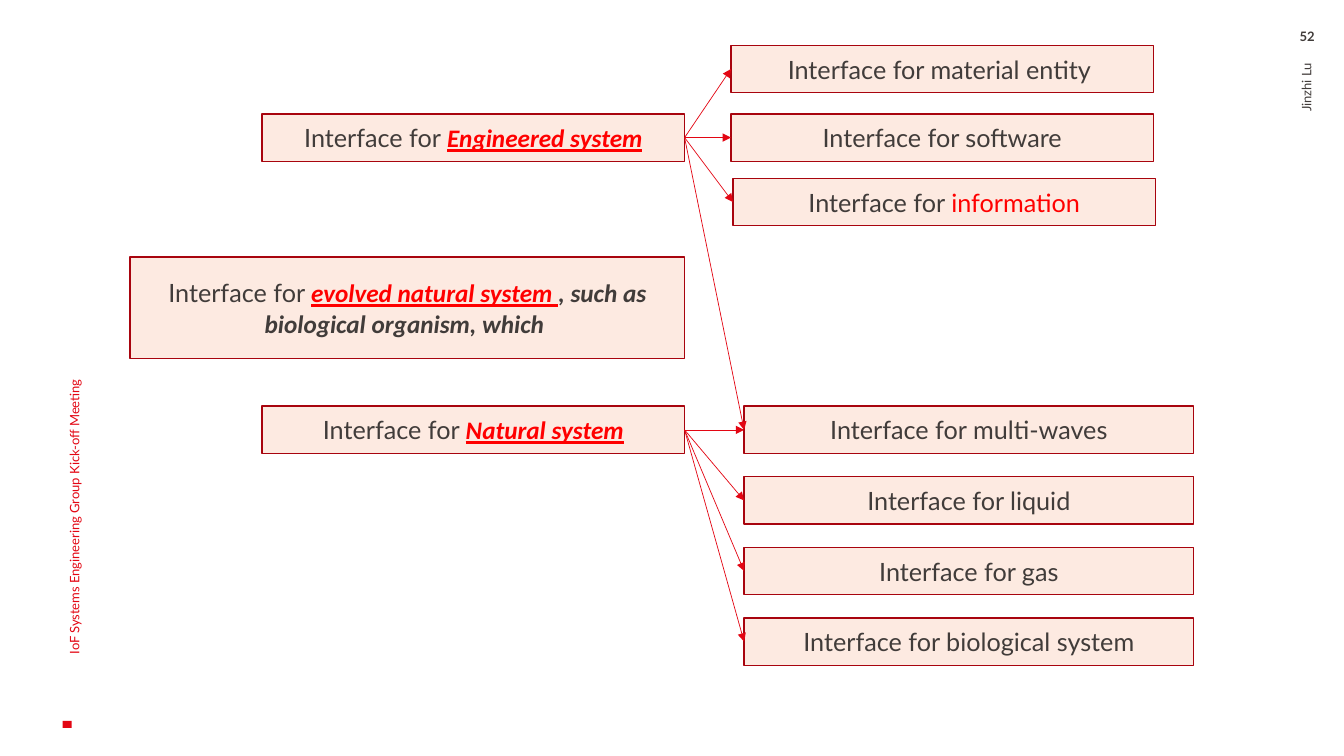
from dataclasses import dataclass

from lxml.etree import SubElement
from pptx import Presentation
from pptx.dml.color import RGBColor
from pptx.enum.shapes import MSO_CONNECTOR, MSO_SHAPE
from pptx.enum.text import MSO_ANCHOR, PP_ALIGN
from pptx.oxml.ns import qn
from pptx.util import Inches, Pt


@dataclass(frozen=True)
class Theme:
    red: RGBColor = RGBColor.from_string("E30613")
    border: RGBColor = RGBColor.from_string("A8040E")
    fill: RGBColor = RGBColor.from_string("FDEAE1")
    ink: RGBColor = RGBColor.from_string("413C3A")
    accent: RGBColor = RGBColor.from_string("FF0000")
    font: str = "Lato"
    accent_font: str = "Calibri"
    body: Pt = Pt(18)
    small: Pt = Pt(9.3)


theme = Theme()
PLAIN = (theme.font, theme.ink, False, False)
RED = (theme.font, theme.accent, False, False)
KEY = (theme.accent_font, theme.accent, True, True)
REST = (theme.accent_font, theme.ink, True, False)


def add_run(p, text, size, font, color, emphasis=False, underline=False):
    r = p.add_run()
    r.text = text
    r.font.size, r.font.name = size, font
    r.font.color.rgb = color
    r.font.bold = r.font.italic = emphasis
    r.font.underline = underline
    return r


prs = Presentation()
prs.slide_width, prs.slide_height = Inches(13.33), Inches(7.5)
slide = prs.slides.add_slide(prs.slide_layouts[6])

# Page margins
marker = slide.shapes.add_shape(
    MSO_SHAPE.RECTANGLE, Inches(0.63), Inches(7.14), Inches(0.07), Inches(0.09))
marker.rotation = 270
marker.shadow.inherit = False
marker.fill.solid()
marker.fill.fore_color.rgb = theme.red
marker.line.fill.background()

margin_texts = [
    ("IoF Systems Engineering Group Kick-off Meeting",
     (-1.82, 3.37, 5.11, 1.33), 270, PP_ALIGN.LEFT, theme.red),
    ("Jinzhi Lu", (11.1, 2.01, 3.71, 0.75), 270, PP_ALIGN.RIGHT, theme.ink),
    ("52", (12.59, 0.28, 0.75, 0.24), 0, PP_ALIGN.CENTER, theme.ink),
]
for text, place, rotation, align, color in margin_texts:
    s = slide.shapes.add_textbox(*map(Inches, place))
    s.rotation = rotation
    tf = s.text_frame
    tf.word_wrap = True
    if rotation:
        tf.vertical_anchor = MSO_ANCHOR.MIDDLE
    else:
        tf.margin_top = tf.margin_bottom = 0
    p = tf.paragraphs[0]
    p.alignment = align
    r = add_run(p, text, theme.small, theme.font, color)
    r.font.bold = not rotation

# Interface boxes: name, left, top, width, height, words after "Interface for "
LOW_TOP, LOW_STEP, BOX_H = 4.03, 0.7, 0.47
boxes = [
    ("engineered", 2.6, 1.13, 4.19, BOX_H, [("Engineered system", KEY)]),
    ("evolved", 1.29, 2.55, 5.5, 1.01,
     [("evolved natural system ", KEY),
      (", such as biological organism, which ", REST)]),
    ("natural", 2.6, LOW_TOP, 4.19, BOX_H, [("Natural system", KEY)]),
    ("material", 7.25, 0.45, 4.19, BOX_H, [("material entity ", PLAIN)]),
    ("software", 7.25, 1.13, 4.19, BOX_H, [("software", PLAIN)]),
    ("information", 7.27, 1.77, 4.19, BOX_H, [("information", RED)]),
]
natural_kinds = ["multi-waves", "liquid", "gas", "biological system"]
for i, kind in enumerate(natural_kinds):
    boxes.append((kind, 7.38, LOW_TOP + i * LOW_STEP, 4.46, BOX_H, [(kind, PLAIN)]))

box_shapes = {}
for name, left, top, width, height, words in boxes:
    s = slide.shapes.add_shape(
        MSO_SHAPE.RECTANGLE, Inches(left), Inches(top), Inches(width), Inches(height))
    s.shadow.inherit = False
    s.fill.solid()
    s.fill.fore_color.rgb = theme.fill
    s.line.color.rgb = theme.border
    s.line.width = Pt(1)
    tf = s.text_frame
    tf.word_wrap = True
    tf.vertical_anchor = MSO_ANCHOR.MIDDLE
    p = tf.paragraphs[0]
    p.alignment = PP_ALIGN.CENTER
    if words[0][1] == PLAIN:
        words = [("Interface for " + words[0][0], PLAIN)]
    else:
        words = [("Interface for ", PLAIN)] + words
    for text, style in words:
        add_run(p, text, theme.body, *style)
    box_shapes[name] = s

# Arrows from the right side of a system to the left side of its interfaces
targets = {
    "engineered": ["material", "software", "information", "multi-waves"],
    "natural": natural_kinds,
}
for source, ends in targets.items():
    for end in ends:
        arrow = slide.shapes.add_connector(MSO_CONNECTOR.STRAIGHT, 0, 0, 0, 0)
        arrow.begin_connect(box_shapes[source], 3)
        arrow.end_connect(box_shapes[end], 1)
        arrow.line.color.rgb = theme.red
        arrow.line.width = Pt(0.5)
        SubElement(arrow.line._get_or_add_ln(), qn("a:tailEnd"), type="triangle")
        SubElement(arrow._element.spPr, qn("a:effectLst"))

prs.save("out.pptx")
